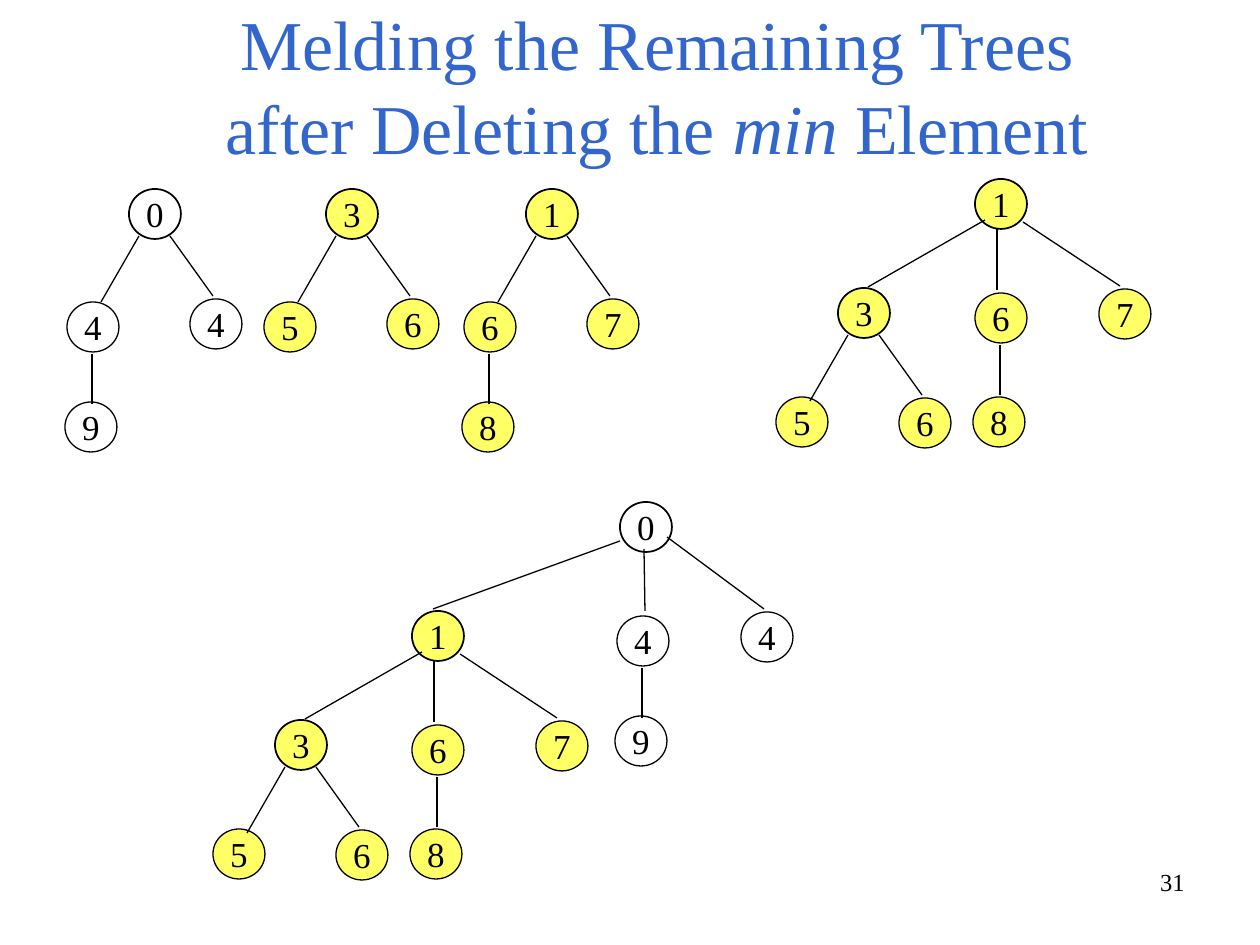
from dataclasses import dataclass

from pptx import Presentation
from pptx.dml.color import RGBColor as Rgb
from pptx.enum.shapes import MSO_CONNECTOR as Link, MSO_SHAPE as Kind
from pptx.enum.text import MSO_ANCHOR as Anchor, MSO_AUTO_SIZE as Fit, PP_ALIGN as Align
from pptx.oxml.ns import qn
from pptx.util import Pt

SCALE = 914400 / 126  # EMU in one px
WIDE, HIGH = 52, 50   # size of a node


@dataclass(frozen=True)
class Theme:
    font: str = "Times New Roman"
    ink: str = "000000"
    blue: str = "3366CC"
    white: str = "FFFFFF"
    gold: str = "FFFF66"
    head: int = 40
    label: int = 20
    small: int = 14
    thin: float = 0.75
    bold: float = 1


@dataclass(frozen=True)
class Node:
    text: str
    fill: str
    kids: tuple = ()  # (node, offset from parent, edge) for each child


# Edges run from one point to another, both measured from the parent's corner
LEFT = (10, 47, -28, 113)
RIGHT = (41, 47, 84, 107)
DOWN = (25, 52, 25, 102)
FAR_LEFT = (10, 41, -107, 108)
FAR_RIGHT = (48, 43, 145, 107)
MIDDLE = (22, 49, 22, 111)
TOP_LEFT = (0, 39, -187, 107)
TOP_RIGHT = (47, 35, 144, 107)
TOP_MIDDLE = (24, 47, 25, 109)


def px(*nums):
    return [round(n * SCALE) for n in nums]


def stem(top, end, fill, drop):
    return Node(top, fill, ((Node(end, fill), (-2, drop), DOWN),))


def fork(top, left, right, fill, fall=(113, 110)):
    return Node(top, fill, ((left, (-62, fall[0]), LEFT),
                            (right, (61, fall[1]), RIGHT)))


class Deck:
    def __init__(self, theme):
        self.theme = theme
        self.show = Presentation()
        self.show.slide_width, self.show.slide_height = px(1260, 945)
        self.slide = self.show.slides.add_slide(self.show.slide_layouts[5])

    def style(self, para, size, color, align):
        para.alignment = align
        for run in para.runs:
            run.font.name = self.theme.font
            run.font.size = Pt(size)
            run.font.color.rgb = Rgb.from_string(color)

    def title(self, box, parts):
        shape = self.slide.shapes.title
        shape.left, shape.top, shape.width, shape.height = px(*box)
        frame = shape.text_frame
        frame.auto_size = Fit.NONE
        frame.vertical_anchor = Anchor.BOTTOM
        para = frame.paragraphs[0]
        para.text = parts[0]
        for text, slant in parts[1:]:
            run = para.add_run()
            run.text = text
            run.font.italic = slant
        self.style(para, self.theme.head, self.theme.blue, Align.CENTER)

    def number(self, box, text):
        frame = self.slide.shapes.add_textbox(*px(*box)).text_frame
        frame.word_wrap = True
        frame.text = text
        self.style(frame.paragraphs[0], self.theme.small, self.theme.ink, Align.RIGHT)

    def circle(self, x, y, node):
        theme = self.theme
        shape = self.slide.shapes.add_shape(Kind.OVAL, *px(x, y, WIDE, HIGH))
        shape.shadow.inherit = False
        shape.fill.solid()
        shape.fill.fore_color.rgb = Rgb.from_string(node.fill)
        shape.line.color.rgb = Rgb.from_string(theme.ink)
        shape.line.width = Pt(theme.bold if len(node.kids) > 1 else theme.thin)
        frame = shape.text_frame
        frame.word_wrap = False
        frame.vertical_anchor = Anchor.MIDDLE
        frame.text = node.text
        self.style(frame.paragraphs[0], theme.label, theme.ink, Align.CENTER)

    def edge(self, x, y, ends):
        a, b, c, d = ends
        line = self.slide.shapes.add_connector(
            Link.STRAIGHT, *px(x + a, y + b, x + c, y + d))
        line.line.color.rgb = Rgb.from_string(self.theme.ink)
        line.line.width = Pt(self.theme.thin)
        props = line._element.spPr
        props.append(props.makeelement(qn("a:effectLst"), {}))

    def tree(self, x, y, node):
        self.circle(x, y, node)
        for kid, (dx, dy), ends in node.kids:
            self.tree(x + dx, y + dy, kid)
            self.edge(x, y, ends)


def main():
    theme = Theme()
    white, gold = theme.white, theme.gold
    deck = Deck(theme)

    # Title and page number
    deck.title((54, 44, 1206, 131),
               ["Melding the Remaining Trees\vafter Deleting the ",
                ("min", True), (" Element", False)])
    deck.number((903, 861, 294, 66), "31")

    # Trees that remain
    four = stem("4", "9", white, 100)
    deck.tree(129, 189, fork("0", four, Node("4", white), white))
    deck.tree(326, 189, fork("3", Node("5", gold), Node("6", gold), gold))
    deck.tree(526, 189, fork("1", stem("6", "8", gold, 100), Node("7", gold), gold))

    # Meld of the trees with roots 1 and 3
    three = fork("3", Node("5", gold), Node("6", gold), gold, (109, 110))
    one = Node("1", gold, (
        (three, (-137, 109), FAR_LEFT),
        (stem("6", "8", gold, 104), (0, 114), MIDDLE),
        (Node("7", gold), (124, 110), FAR_RIGHT)))
    deck.tree(975, 179, one)

    # Meld of that tree with root 0
    deck.tree(620, 502, Node("0", white, (
        (one, (-208, 109), TOP_LEFT),
        (four, (-3, 114), TOP_MIDDLE),
        (Node("4", white), (121, 110), TOP_RIGHT))))

    deck.show.save("out.pptx")


if __name__ == "__main__":
    main()
